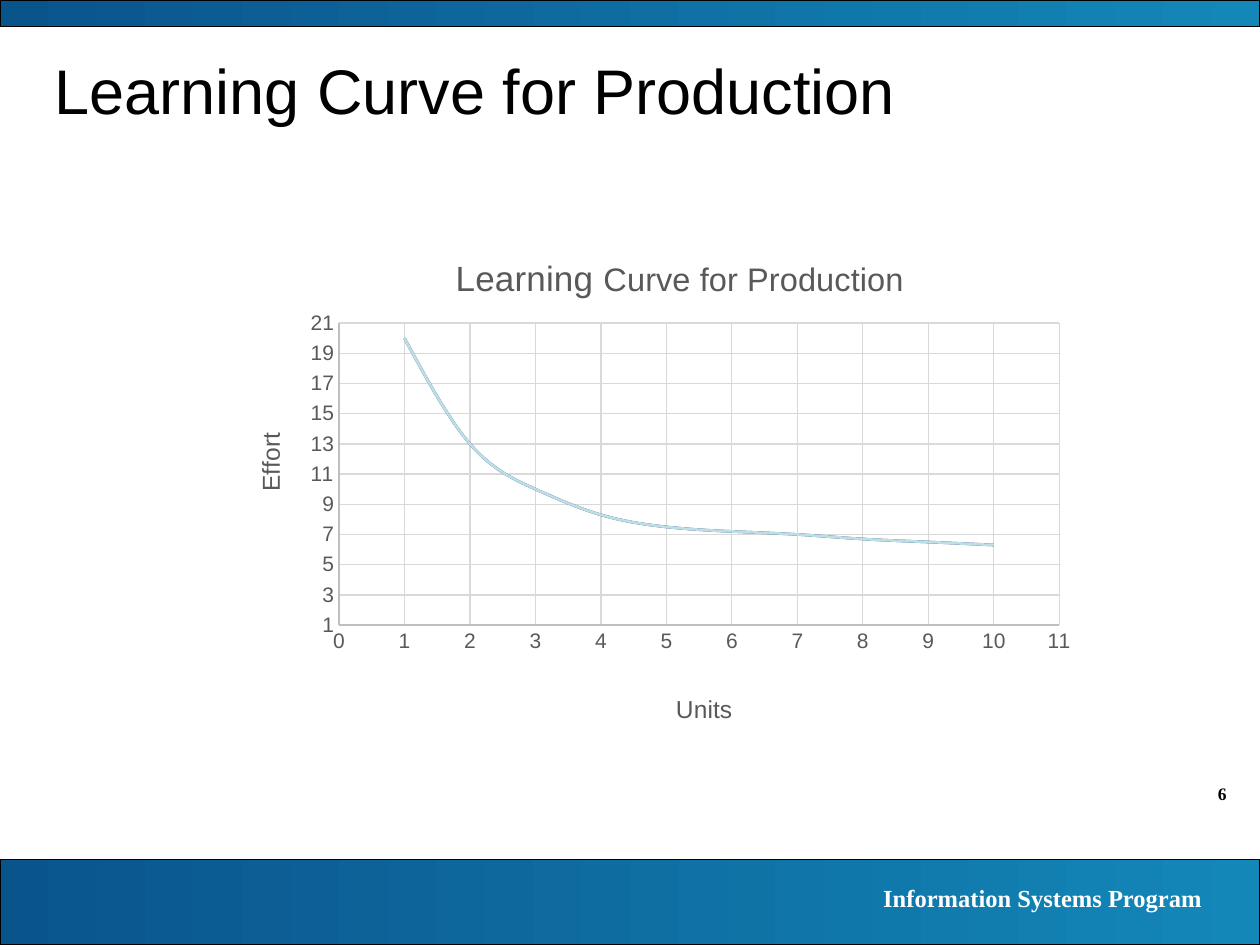
from dataclasses import dataclass

import lxml.etree
import pptx
import pptx.chart.data
import pptx.dml.color
import pptx.enum.chart
import pptx.enum.shapes
import pptx.enum.text
import pptx.oxml.ns
import pptx.util

Pt = pptx.util.Pt
qn = pptx.oxml.ns.qn


@dataclass
class Band:
    top: float
    height: float


@dataclass
class Label:
    text: str
    left: float
    top: float
    width: float
    height: float
    size: float
    color: str


@dataclass
class AxisStyle:
    title: str
    title_x: float
    title_y: float
    minimum: float
    maximum: float
    step: float


BANDS = [Band(491, 49), Band(0, 15)]
LABELS = [
    Label("6", 648, 444, 60, 20, 10, "000000"),
    Label("Information Systems Program", 400, 501, 294, 25, 14, "FFFFFF"),
]
UNITS = AxisStyle("Units", 0.515, 0.88, 0, 11, 1)
EFFORT = AxisStyle("Effort", 0.045, 0.4, 1, 21, 2)
EFFORT_PER_UNIT = [20, 13, 10, 8.3, 7.5, 7.2, 7, 6.7, 6.5, 6.3]
SERIES_COLORS = {"Series 1": "BBE0E3", "Series 2": "333399"}
CHART_GREY = "595959"


def rgb(color: str) -> pptx.dml.color.RGBColor:
    return pptx.dml.color.RGBColor.from_string(color)


def add_run(paragraph, text: str, size: float, color: str,
            font: str = "Arial", bold: bool = False) -> None:
    run = paragraph.add_run()
    run.text = text
    run.font.name = font
    run.font.size = Pt(size)
    run.font.bold = bold
    run.font.color.rgb = rgb(color)


def style_line(line, color: str, width: float) -> None:
    line.color.rgb = rgb(color)
    line.width = Pt(width)


def draw_band(slide, band: Band) -> None:
    bar = slide.shapes.add_shape(pptx.enum.shapes.MSO_SHAPE.RECTANGLE,
                                 0, Pt(band.top), Pt(720), Pt(band.height))
    bar.shadow.inherit = False
    bar.fill.gradient()
    bar.fill.gradient_angle = 0
    for stop, position, color in zip(bar.fill.gradient_stops, (0, 1), ("0A548C", "1387B8")):
        stop.position = position
        stop.color.rgb = rgb(color)
    style_line(bar.line, "000000", 0.75)


def draw_label(slide, label: Label) -> None:
    box = slide.shapes.add_textbox(Pt(label.left), Pt(label.top),
                                   Pt(label.width), Pt(label.height))
    box.text_frame.word_wrap = True
    paragraph = box.text_frame.paragraphs[0]
    paragraph.alignment = pptx.enum.text.PP_ALIGN.RIGHT
    add_run(paragraph, label.text, label.size, label.color, "Times New Roman", True)


def set_layout(parent, index: int, **settings) -> None:
    """Place a chart part by fractions of the chart's size."""
    for old in parent.findall(qn("c:layout")):
        parent.remove(old)
    layout = lxml.etree.Element(qn("c:layout"))
    manual = lxml.etree.SubElement(layout, qn("c:manualLayout"))
    for tag, value in settings.items():
        lxml.etree.SubElement(manual, qn(f"c:{tag}")).set("val", str(value))
    parent.insert(index, layout)


def place_title(title, x: float, y: float) -> None:
    set_layout(title._element, 1, xMode="edge", yMode="edge", x=x, y=y)


def style_axis(axis, style: AxisStyle) -> None:
    axis.minimum_scale = style.minimum
    axis.maximum_scale = style.maximum
    axis.major_unit = style.step
    axis.major_tick_mark = pptx.enum.chart.XL_TICK_MARK.NONE
    axis.minor_tick_mark = pptx.enum.chart.XL_TICK_MARK.NONE
    axis.has_major_gridlines = True
    style_line(axis.major_gridlines.format.line, "D9D9D9", 0.75)
    style_line(axis.format.line, "BFBFBF", 0.75)
    labels = axis.tick_labels
    labels.font.name = "Arial"
    labels.font.size = Pt(12)
    labels.font.color.rgb = rgb(CHART_GREY)
    labels.number_format = "General"
    labels.number_format_is_linked = False
    add_run(axis.axis_title.text_frame.paragraphs[0], style.title, 14, CHART_GREY)
    place_title(axis.axis_title, style.title_x, style.title_y)


def draw_learning_curve(slide) -> None:
    curve_data = pptx.chart.data.XyChartData()
    for name in SERIES_COLORS:
        points = curve_data.add_series(name)
        for unit, effort in enumerate(EFFORT_PER_UNIT, start=1):
            points.add_data_point(unit, effort)
    chart = slide.shapes.add_chart(
        pptx.enum.chart.XL_CHART_TYPE.XY_SCATTER_SMOOTH_NO_MARKERS,
        Pt(120), Pt(120), Pt(512), Pt(311), curve_data).chart
    chart.has_legend = False
    chart.font.name = "Arial"
    chart.font.size = Pt(10)
    chart.font.color.rgb = rgb("000000")

    # Heading, with its first word a little larger
    chart.has_title = True
    heading = chart.chart_title.text_frame.paragraphs[0]
    add_run(heading, "Learning ", 20, CHART_GREY)
    add_run(heading, "Curve for Production", 18.6, CHART_GREY)
    place_title(chart.chart_title, 0.27, 0.08)

    # Axes and plot area
    style_axis(chart.category_axis, UNITS)
    style_axis(chart.value_axis, EFFORT)
    set_layout(chart._chartSpace.chart.plotArea, 0, layoutTarget="inner",
               xMode="edge", yMode="edge", x=0.144, y=0.208, w=0.804, h=0.555)

    # Curves
    chart.plots[0].vary_by_categories = False
    for series, color in zip(chart.plots[0].series, SERIES_COLORS.values()):
        series.marker.style = pptx.enum.chart.XL_MARKER_STYLE.NONE
        style_line(series.format.line, color, 1.5)
        smooth = series._element.get_or_add_smooth()
        smooth.val = True


def main() -> None:
    deck = pptx.Presentation()
    deck.slide_width, deck.slide_height = Pt(720), Pt(540)
    slide = deck.slides.add_slide(deck.slide_layouts[5])

    # Bands and footer
    for band in BANDS:
        draw_band(slide, band)
    for label in LABELS:
        draw_label(slide, label)

    # Title
    title = slide.shapes.title
    title.left, title.top, title.width, title.height = Pt(24), Pt(24), Pt(660), Pt(54)
    title.text_frame.vertical_anchor = pptx.enum.text.MSO_ANCHOR.MIDDLE
    title_line = title.text_frame.paragraphs[0]
    title_line.alignment = pptx.enum.text.PP_ALIGN.LEFT
    add_run(title_line, "Learning Curve for Production", 36, "000000")

    # Chart
    draw_learning_curve(slide)
    deck.save("out.pptx")


if __name__ == "__main__":
    main()
